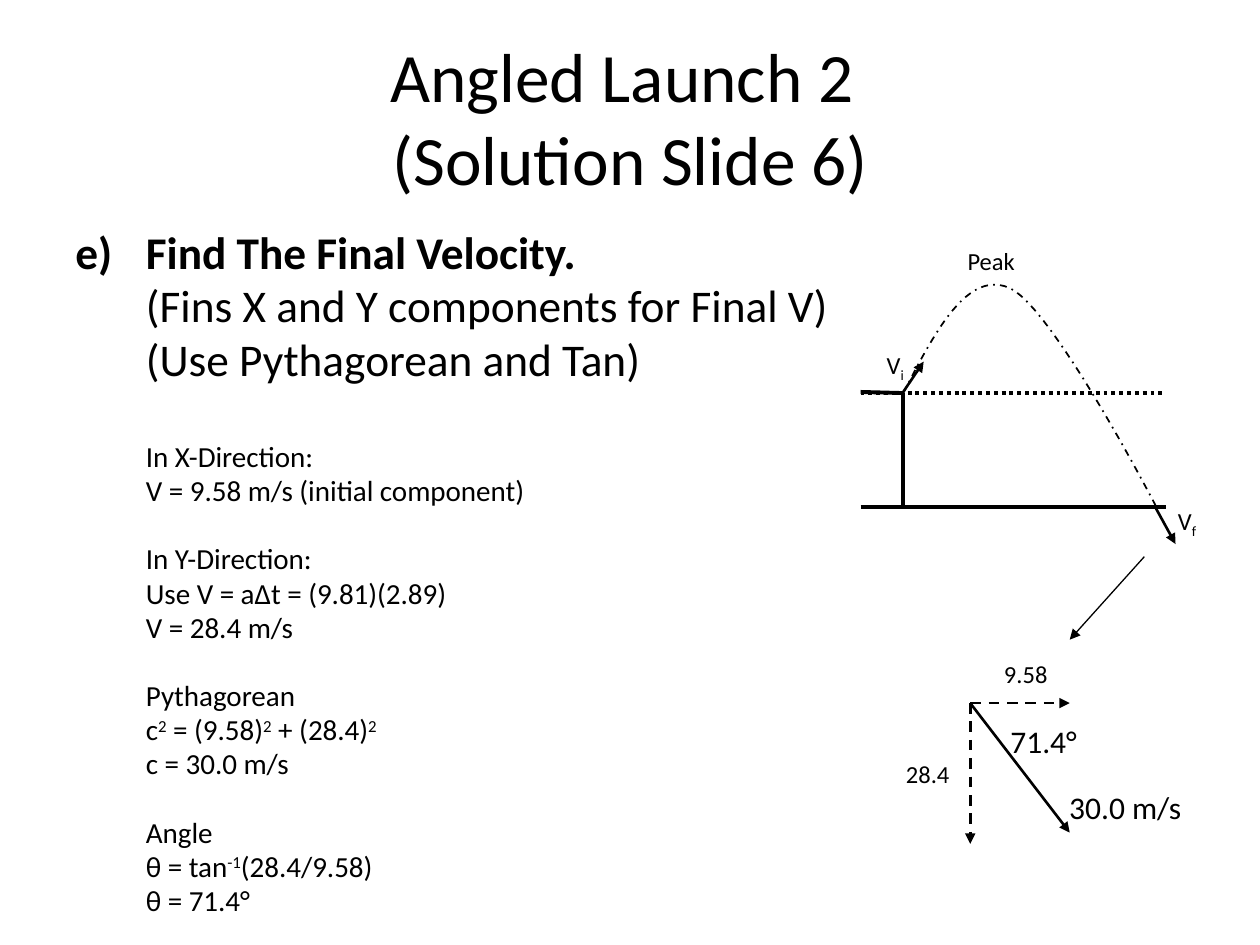
from collections import namedtuple
from copy import deepcopy

from lxml.etree import SubElement
from pptx import Presentation
from pptx.dml.color import RGBColor
from pptx.enum.dml import MSO_LINE
from pptx.enum.text import MSO_ANCHOR, PP_ALIGN
from pptx.oxml.ns import qn
from pptx.util import Inches, Pt

BLACK = RGBColor(0, 0, 0)
FONT = "Calibri"
Box = namedtuple("Box", "x y w h")


def at(box, u, v):
    """Return the slide point at shares u, v of the box."""
    return Inches(box.x + u * box.w), Inches(box.y + v * box.h)


def sub(box, u, v, w, h):
    """Return the part of the box given in shares of its size."""
    return Box(box.x + u * box.w, box.y + v * box.h, w * box.w, h * box.h)


def add_run(p, text, size=14, bold=False, base=0):
    """Add formatted text to a paragraph, with line breaks at newlines."""
    for i, part in enumerate(text.split("\n")):
        if i:
            p.add_line_break()
            br = p._p[-1]
        r = p.add_run()
        r.text = part
        r.font.name, r.font.size, r.font.bold = FONT, Pt(size), bold
        r.font.color.rgb = BLACK
        if base:
            r._r.rPr.set("baseline", str(base * 1000))
        if i:
            br.append(deepcopy(r._r.rPr))
        if not part:
            p._p.remove(r._r)


def add_text(s, box, runs, align=PP_ALIGN.LEFT, anchor=MSO_ANCHOR.TOP, wrap=True):
    """Add a text box of (text, format) runs and return its paragraph."""
    sp = s.shapes.add_textbox(*at(box, 0, 0), Inches(box.w), Inches(box.h))
    tf = sp.text_frame
    tf.word_wrap, tf.vertical_anchor = wrap, anchor
    p = tf.paragraphs[0]
    p.alignment = align
    for text, fmt in runs:
        add_run(p, text, **fmt)
    return p


def add_label(s, box, u, v, w, text, below="", size=14):
    """Add a short label with an optional subscript."""
    h = 0.34 if size == 14 else 0.4
    runs = [(text, dict(size=size))]
    if below:
        runs.append((below, dict(size=size, base=-25)))
    add_text(s, sub(box, u, v, w, h / box.h), runs, wrap=False)


def add_line(s, box, start, end, width, dash=None, arrow=False):
    """Draw a straight line between two points of the box."""
    c = s.shapes.add_connector(1, *at(box, *start), *at(box, *end))
    c.line.color.rgb, c.line.width = BLACK, Pt(width)
    if dash:
        c.line.dash_style = dash
    if arrow:
        SubElement(c.line._get_or_add_ln(), qn("a:tailEnd"), type="triangle")
    SubElement(c._element.spPr, qn("a:effectLst"))


def bezier(a, b, c, d, steps=24):
    """Return points along a cubic curve, without its start."""
    ts = [i / steps for i in range(1, steps + 1)]
    return [tuple((1 - t) ** 3 * i + 3 * t * (1 - t) ** 2 * j
                  + 3 * t * t * (1 - t) * k + t ** 3 * m
                  for i, j, k, m in zip(a, b, c, d)) for t in ts]


def title(s, box):
    """Place the centred slide title."""
    add_text(s, box, [("Angled Launch 2 \n(Solution Slide 6)", dict(size=39.6))],
             PP_ALIGN.CENTER, MSO_ANCHOR.MIDDLE)


def solution(s, box):
    """Place the lettered question and its worked solution."""
    big, small = dict(size=25.9), dict(size=16.6)
    power = dict(size=16.6, base=30)
    p = add_text(s, box, [
        ("Find The Final Velocity.\n", dict(size=25.9, bold=True)),
        ("(Fins X and Y components for Final V)\n(Use Pythagorean and Tan)\n\n", big),
        ("In X-Direction:\nV = 9.58 m/s (initial component)\n\n"
         "In Y-Direction:\nUse V = aΔt = (9.81)(2.89)\nV = 28.4 m/s\n\n"
         "Pythagorean\nc", small),
        ("2", power), (" = (9.58)", small), ("2", power),
        (" + (28.4)", small), ("2", power),
        ("\nc = 30.0 m/s\n\nAngle\nθ = tan", small),
        ("-1", power), ("(28.4/9.58)\nθ = 71.4°", small)])
    p.space_before, p.line_spacing = Pt(1), 0.98
    pPr = p._p.get_or_add_pPr()
    pPr.set("marL", str(Inches(0.56)))
    pPr.set("indent", str(Inches(-0.56)))
    SubElement(pPr, qn("a:buFont"), typeface=FONT)
    SubElement(pPr, qn("a:buAutoNum"), type="alphaLcParenR", startAt="5")


def trajectory(s, box):
    """Draw the launch from the ledge to the ground."""
    post, land = 0.14, 0.967
    add_line(s, box, (0, 0), (1, 0), 2.25, MSO_LINE.ROUND_DOT)
    add_line(s, box, (0, 1), (1, 1), 2.25)
    add_line(s, box, (post, 1), (post, 0), 2.25)
    add_line(s, box, (0, -0.01), (post, 0), 2.25)
    add_line(s, box, (post, -0.01), (0.207, -0.275), 1.5, arrow=True)
    add_line(s, box, (land, 1), (1.033, 1.32), 1.5, arrow=True)
    start, top, end = (post, 0), (0.488, -0.92), (land, 0.98)
    pts = (bezier(start, (0.244, -0.54), (0.351, -1.08), top)
           + bezier(top, (0.628, -0.76), end, end))
    fb = s.shapes.build_freeform(*at(box, *start))
    fb.add_line_segments([at(box, *pt) for pt in pts], close=False)
    sp = fb.convert_to_shape()
    sp.shadow.inherit = False
    sp.fill.background()
    sp.line.color.rgb, sp.line.width = BLACK, Pt(1)
    sp.line.dash_style = MSO_LINE.DASH_DOT
    add_label(s, box, 0.31, -1.34, 0.24, "Peak")
    add_label(s, box, 0.045, -0.43, 0.14, "V", "i")
    add_label(s, box, 1, 0.93, 0.145, "V", "f")


def components(s, box):
    """Draw the final velocity with its components."""
    add_line(s, box, (1.75, -1.04), (1, -0.45), 0.75, arrow=True)
    for end, dash in (((1, 0), MSO_LINE.DASH), ((0, 1), MSO_LINE.DASH),
                      ((1, 0.92), None)):
        add_line(s, box, (0, 0), end, 1.5, dash, arrow=True)
    add_label(s, box, 0.215, -0.36, 0.7, "9.58")
    add_label(s, box, -0.77, 0.35, 0.7, "28.4")
    add_label(s, box, 0.87, 0.56, 1.39, "30.0 m/s", size=18)
    add_label(s, box, 0.28, 0.09, 0.92, "71.4°", size=18)


def main():
    """Build and save the slide."""
    page = Box(0, 0, 10, 7.5)
    prs = Presentation()
    prs.slide_width, prs.slide_height = Inches(page.w), Inches(page.h)
    s = prs.slides.add_slide(prs.slide_layouts[6])
    title(s, sub(page, 0.05, 0.04, 0.9, 1 / 6))
    solution(s, sub(page, 0.05, 7 / 30, 0.9, 0.66))
    trajectory(s, sub(page, 0.683, 0.416, 0.242, 0.121))
    components(s, sub(page, 0.77, 0.744, 0.079, 0.149))
    prs.save("out.pptx")


if __name__ == "__main__":
    main()
